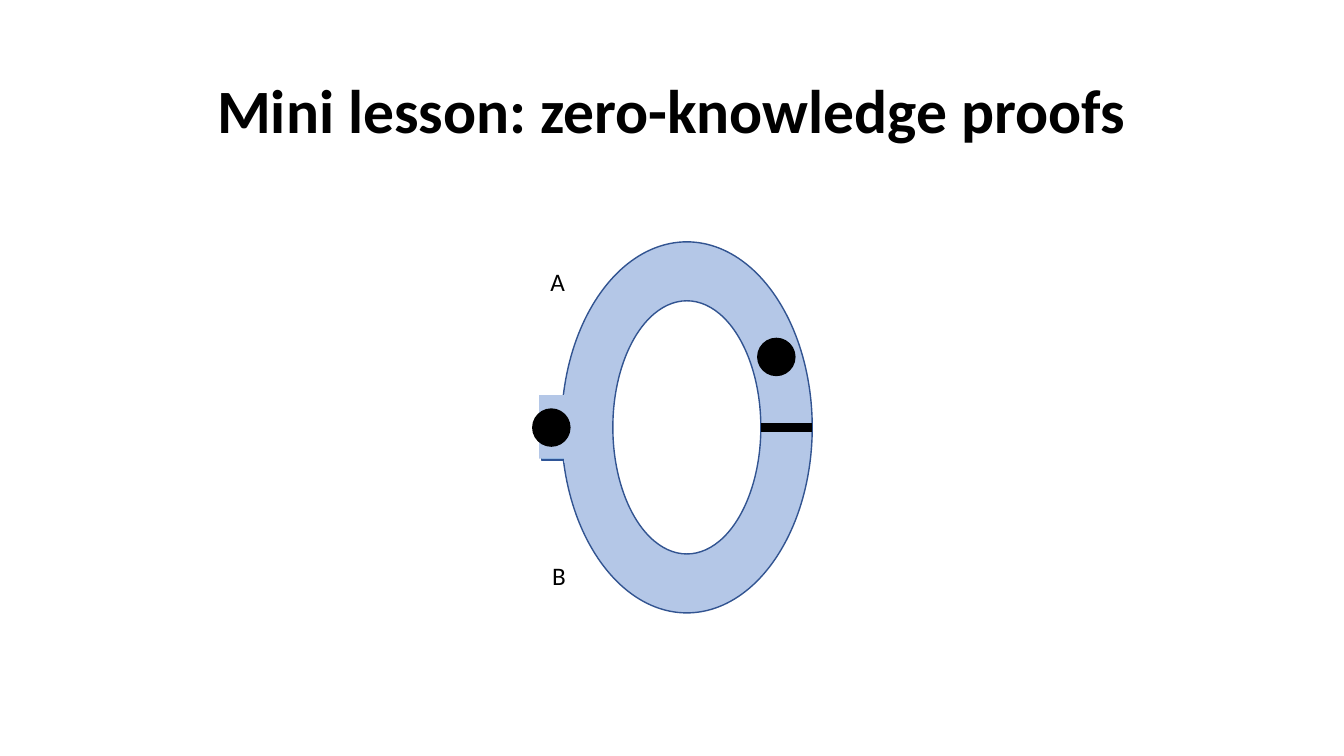
from lxml import etree
from pptx import Presentation
from pptx.dml.color import RGBColor
from pptx.enum.shapes import MSO_CONNECTOR, MSO_SHAPE
from pptx.enum.text import MSO_ANCHOR, MSO_AUTO_SIZE, PP_ALIGN
from pptx.oxml.ns import qn
from pptx.util import Cm, Pt

TITLE = "Mini lesson: zero-knowledge proofs"
FONT = "Calibri"
COLORS = {
    "cave": "B4C7E7",
    "wall": "325491",
    "passage": "5B9BD5",
    "passage_wall": "2F5597",
    "rock": "FFFFFF",
    "ink": "000000",
}
CENTER_X, CENTER_Y = 17.31, 10.77
CAVE_SIZE = (6.32, 9.35)
ROCK_SIZE = (3.73, 6.38)
PERSON_SIZE = 0.97
ENTRANCE = [
    (13.64, 9.96, 1.5, 1.63, "passage", "passage_wall"),
    (14.22, 9.93, 1.14, 1.73, "cave", None),
    (13.59, 9.96, 0.71, 1.6, "cave", None),
]
PEOPLE = [(19.08, 8.51), (13.41, 10.29)]
PATH_LABELS = [("A", 13.61, 6.58), ("B", 13.64, 14.0)]


def color(name):
    return RGBColor.from_string(COLORS[name])


def add_part(page, kind, left, top, width, height, fill, line=None):
    part = page.shapes.add_shape(kind, Cm(left), Cm(top), Cm(width), Cm(height))
    part.shadow.inherit = False
    part.fill.solid()
    part.fill.fore_color.rgb = color(fill)
    if line:
        part.line.color.rgb = color(line)
        part.line.width = Pt(1)
    else:
        part.line.fill.background()


def add_ring_edge(page, size, fill):
    width, height = size
    add_part(page, MSO_SHAPE.OVAL, CENTER_X - width / 2, CENTER_Y - height / 2,
             width, height, fill, "wall")


def write(box, text, size, bold=False):
    box.text_frame.text = text
    para = box.text_frame.paragraphs[0]
    para.alignment = PP_ALIGN.CENTER
    para.font.name = FONT
    para.font.size = Pt(size)
    para.font.bold = bold
    para.font.color.rgb = color("ink")
    return para


def add_door(page):
    left = CENTER_X + ROCK_SIZE[0] / 2
    right = CENTER_X + CAVE_SIZE[0] / 2
    door = page.shapes.add_connector(
        MSO_CONNECTOR.STRAIGHT, Cm(left), Cm(CENTER_Y), Cm(right), Cm(CENTER_Y))
    door.line.color.rgb = color("ink")
    door.line.width = Pt(6)
    etree.SubElement(door._element.spPr, qn("a:effectLst"))


def main():
    deck = Presentation()
    deck.slide_width, deck.slide_height = Cm(33.87), Cm(19.05)
    page = deck.slides.add_slide(deck.slide_layouts[5])

    title = page.shapes.title
    title.left, title.top, title.width, title.height = Cm(2.33), Cm(1.02), Cm(29.21), Cm(3.68)
    write(title, TITLE, 44, bold=True).line_spacing = 0.9
    title.text_frame.vertical_anchor = MSO_ANCHOR.MIDDLE

    add_ring_edge(page, CAVE_SIZE, "cave")
    add_ring_edge(page, ROCK_SIZE, "rock")
    for block in ENTRANCE:
        add_part(page, MSO_SHAPE.RECTANGLE, *block)
    for left, top in PEOPLE:
        add_part(page, MSO_SHAPE.OVAL, left, top, PERSON_SIZE, PERSON_SIZE, "ink")
    add_door(page)

    for text, left, top in PATH_LABELS:
        label = page.shapes.add_textbox(Cm(left), Cm(top), Cm(0.89), Cm(1.02))
        label.text_frame.word_wrap = False
        label.text_frame.auto_size = MSO_AUTO_SIZE.SHAPE_TO_FIT_TEXT
        write(label, text, 18)

    deck.save("out.pptx")


if __name__ == "__main__":
    main()
